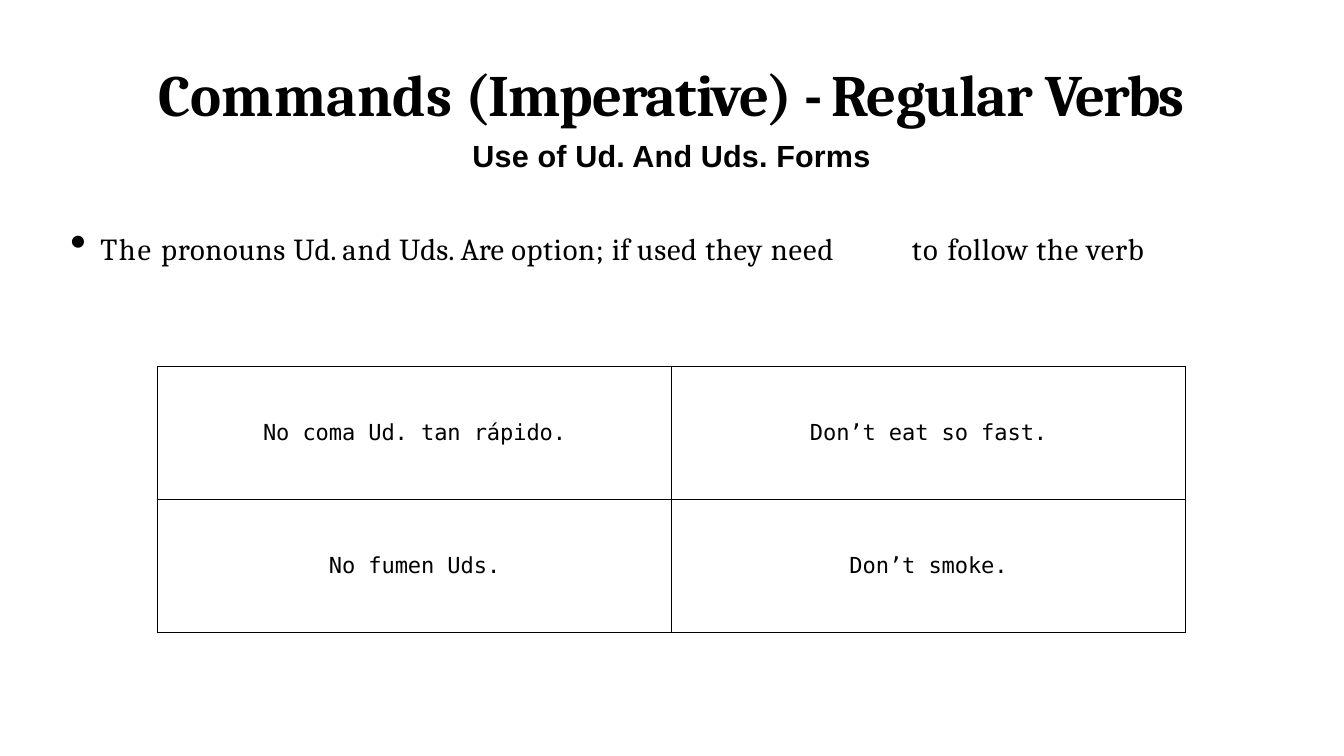
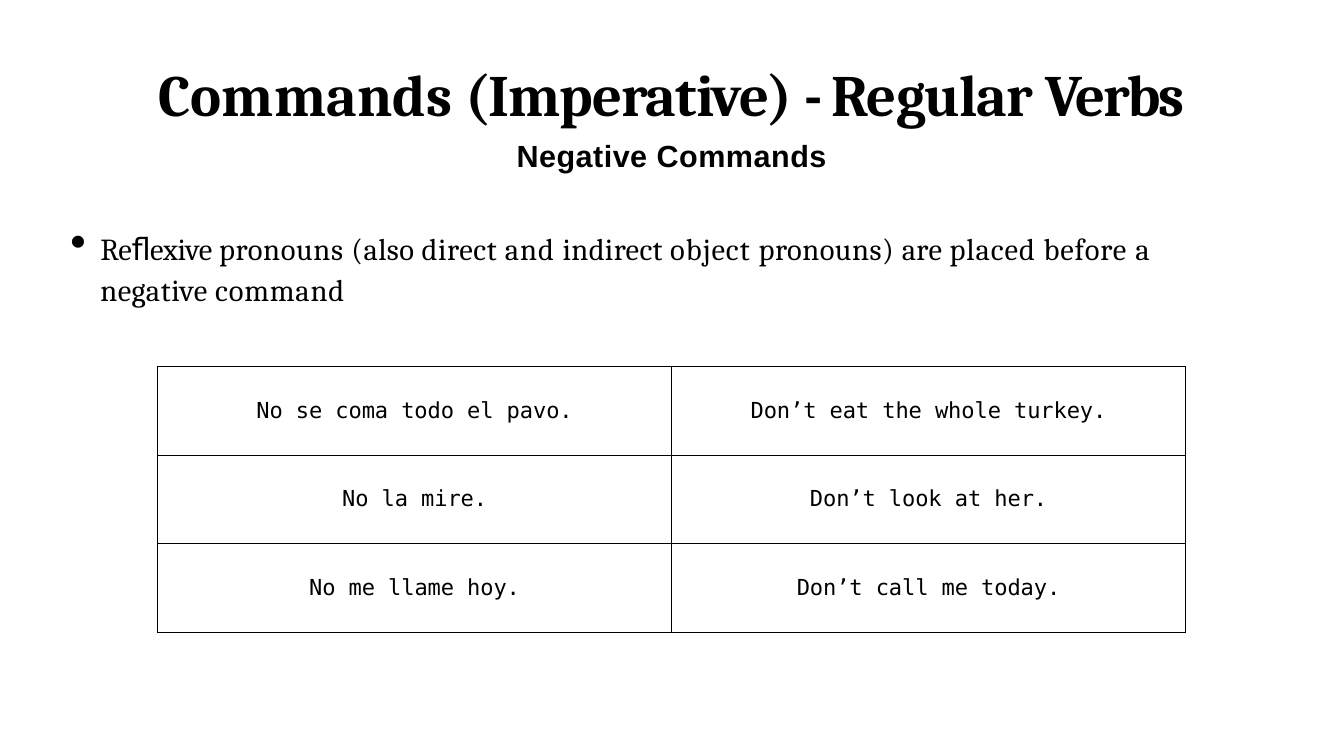
from lxml import etree
from pptx import Presentation
from pptx.dml.color import RGBColor
from pptx.enum.text import MSO_ANCHOR, PP_ALIGN
from pptx.oxml.ns import qn
from pptx.util import Pt

MID = MSO_ANCHOR.MIDDLE
TOP = MSO_ANCHOR.TOP
CENTER = PP_ALIGN.CENTER
BLACK = "000000"
SERIF, SANS, MONO = "Cambria", "Arial", "DejaVu Sans Mono"

HEAD = {"name": SERIF, "size": Pt(69), "bold": True}
SUB = {"name": SANS, "size": Pt(36), "bold": True}
BODY = {"name": SERIF, "size": Pt(36), "bold": False}
CELL = {"name": MONO, "size": Pt(26), "bold": False}

TITLE = [("Commands ", 0.2), ("(Imperative) ", -1.2), ("- ", -4.5),
         ("Regular ", -1.1), ("Verbs", -2.5)]

PAGES = [
    {
        "sub": [("Use of Ud. And Uds. Forms", 0.2)],
        "rule": [("The ", 2), ("pronouns ", 0.8), ("Ud. ", -0.1), ("and", 1.1),
                 (" Uds. Are ", 0.1), ("option; ", 0.8), ("if ", 0.1),
                 ("used they ", 0.9), ("need\t", 1.1), ("to ", 1.8),
                 ("follow the verb", 0.9)],
        "rows": [("No coma Ud. tan rápido.", "Don’t eat so fast."),
                 ("No fumen Uds.", "Don’t smoke.")],
    },
    {
        "sub": [("Negative Commands", 0.6)],
        "rule": [("Re", -0.2), ("ﬂ", -0.2, MONO), ("exive ", -0.2),
                 ("pronouns ", 0.8), ("(also ", 0.5), ("direct ", 0.7),
                 ("and ", 1.1), ("indirect ", 0.4), ("object ", 1.2),
                 ("pronouns) ", 0.6), ("are ", 0.5), ("placed before ", 1.1),
                 ("a ", 2.2), ("negative ", 0.6), ("command", 0.9)],
        "rows": [("No se coma todo el pavo.", "Don’t eat the whole turkey."),
                 ("No la mire.", "Don’t look at her."),
                 ("No me llame hoy.", "Don’t call me today.")],
    },
]


def write(par, parts, style):
    for text, gap, *face in parts:
        run = par.add_run()
        run.text = text
        for key, value in style.items():
            setattr(run.font, key, value)
        if face:
            run.font.name = face[0]
        run.font.color.rgb = RGBColor.from_string(BLACK)
        run.font._element.set("spc", str(round(gap * 100)))


def frame(slide, x, y, w, h, inset):
    box = slide.shapes.add_textbox(Pt(x), Pt(y), Pt(w), Pt(h)).text_frame
    form = {"word_wrap": True, "vertical_anchor": TOP, "margin_left": 0,
            "margin_right": 0, "margin_bottom": 0, "margin_top": Pt(inset)}
    for key, value in form.items():
        setattr(box, key, value)
    return box


deck = Presentation()
deck.slide_width, deck.slide_height = Pt(1583.28), Pt(890.64)

for page in PAGES:
    slide = deck.slides.add_slide(deck.slide_layouts[6])

    head = frame(slide, 182.2, 46.1, 1218.2, 159.8, 21.6)
    title = head.paragraphs[0]
    sub = head.add_paragraph()
    sub.space_before = Pt(10.9)
    title.alignment = sub.alignment = CENTER
    write(title, TITLE, HEAD)
    write(sub, page["sub"], SUB)

    rule = frame(slide, 81.4, 264.2, 1371.6, 100, 0.7).paragraphs[0]
    rule.line_spacing = 1.13
    write(rule, page["rule"], BODY)
    props = rule._p.get_or_add_pPr()
    props.set("marL", str(Pt(36.7)))
    props.set("indent", str(Pt(-35.3)))
    etree.SubElement(props, qn("a:buSzPct")).set("val", "151000")
    etree.SubElement(props, qn("a:buChar")).set("char", "•")
    tabs = etree.SubElement(props, qn("a:tabLst"))
    for stop in (36.7, 992.9):
        tab = etree.SubElement(tabs, qn("a:tab"))
        tab.set("pos", str(Pt(stop)))
        tab.set("algn", "l")

    rows = page["rows"]
    table = slide.shapes.add_table(
        len(rows), 2, Pt(185.8), Pt(431.3), Pt(1211), Pt(314)).table
    table.first_row = table.horz_banding = False
    for row, texts in enumerate(rows):
        for col, text in enumerate(texts):
            cell = table.cell(row, col)
            form = {"vertical_anchor": MID, "margin_left": 0,
                    "margin_right": 0, "margin_top": 0, "margin_bottom": 0}
            for key, value in form.items():
                setattr(cell, key, value)
            cell.fill.background()
            par = cell.text_frame.paragraphs[0]
            par.alignment = CENTER
            write(par, [(text, -0.15)], CELL)
            edges = cell._tc.get_or_add_tcPr()
            for spot, side in enumerate(("lnL", "lnR", "lnT", "lnB")):
                line = etree.Element(qn("a:" + side))
                line.set("w", str(Pt(1)))
                fill = etree.SubElement(line, qn("a:solidFill"))
                etree.SubElement(fill, qn("a:srgbClr")).set("val", BLACK)
                edges.insert(spot, line)

deck.save("out.pptx")
